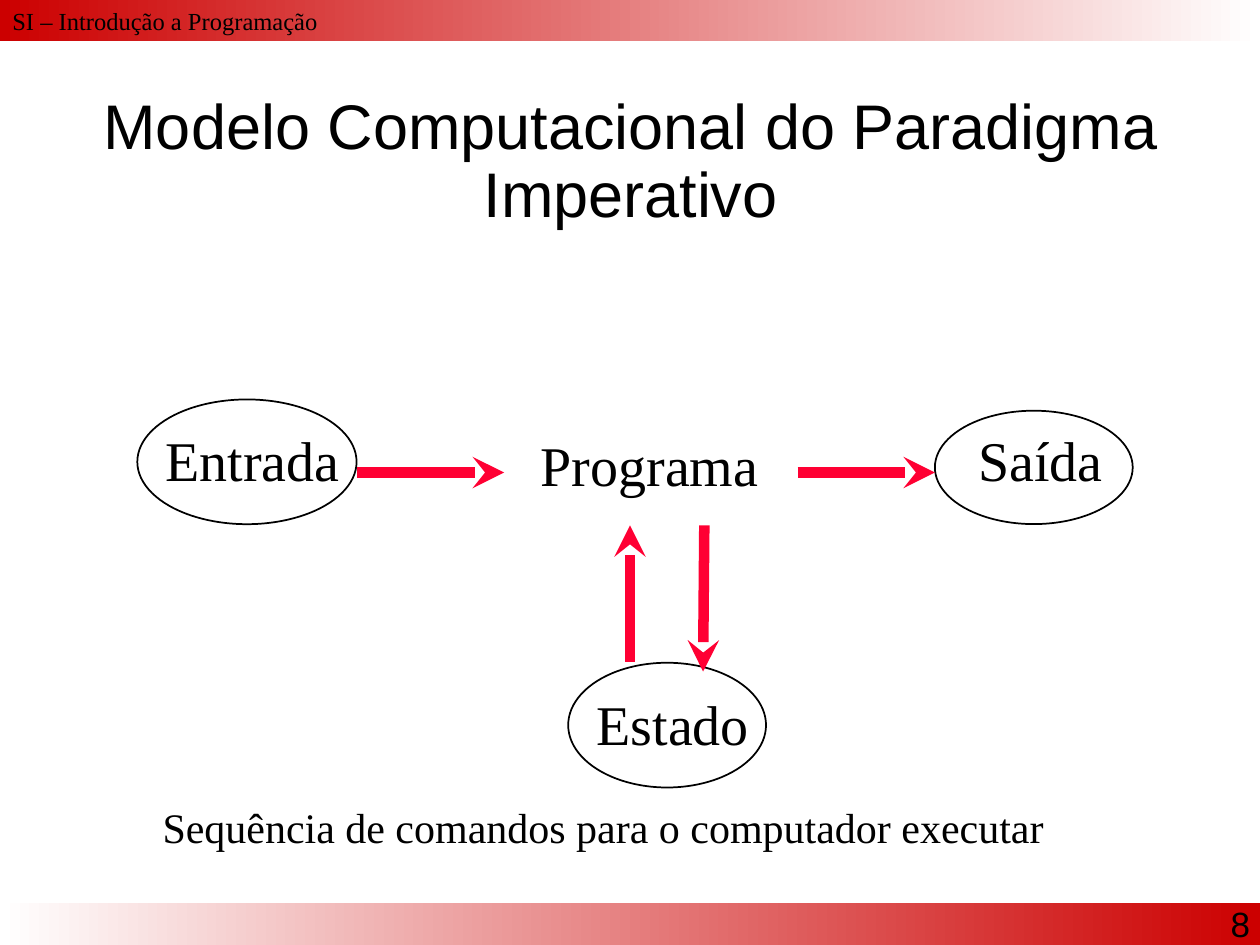
from dataclasses import dataclass

import pptx
import pptx.dml.color
import pptx.enum.dml
import pptx.enum.shapes
import pptx.enum.text
import pptx.oxml
import pptx.oxml.ns
import pptx.util
from pptx.util import Inches

Align = pptx.enum.text.PP_ALIGN
Anchor = pptx.enum.text.MSO_ANCHOR
Shapes = pptx.enum.shapes.MSO_SHAPE


@dataclass(frozen=True)
class Theme:
    """Colours, fonts and type sizes of the slide."""
    ink: str = "000000"
    paper: str = "FFFFFF"
    band: str = "CC0000"
    flow: str = "FF0033"
    sans: str = "Arial"
    serif: str = "Times New Roman"
    course: int = 14
    number: int = 20
    caption: int = 24
    node: int = 32
    title: int = 36


@dataclass(frozen=True)
class Box:
    """A rectangle in inches."""
    left: float
    top: float
    width: float
    height: float

    def lengths(self) -> list:
        """Return the four values as lengths."""
        return [Inches(v) for v in (self.left, self.top, self.width, self.height)]


@dataclass(frozen=True)
class Node:
    """A labelled stage of the model, with an optional ellipse."""
    label: str
    text_box: Box
    ellipse: Box | None = None
    wrap: bool = False


@dataclass(frozen=True)
class Flow:
    """An arrow from one point to another, in inches."""
    start: tuple[float, float]
    end: tuple[float, float]


THEME = Theme()
NODES = [
    Node("Entrada", Box(1.23, 3.38, 1.55, 0.61), Box(1.09, 3.17, 1.74, 0.99)),
    Node("Programa", Box(4.08, 3.42, 2.15, 0.61), wrap=True),
    Node("Saída", Box(7.68, 3.38, 1.16, 0.61), Box(7.42, 3.26, 1.57, 0.9)),
    Node("Estado", Box(4.65, 5.47, 1.38, 0.61), Box(4.51, 5.26, 1.57, 0.99)),
]
FLOWS = [
    Flow((2.83, 3.75), (4, 3.75)),
    Flow((6.33, 3.75), (7.42, 3.75)),
    Flow((5, 5.25), (5, 4.17)),
    Flow((5.59, 4.17), (5.58, 5.33)),
]


def rgb(value: str) -> pptx.dml.color.RGBColor:
    """Turn a hex string into a colour."""
    return pptx.dml.color.RGBColor.from_string(value)


def add_text(slide, text: str, box: Box, *, size: int, font: str = THEME.serif,
             align=Align.LEFT, anchor=Anchor.TOP, wrap: bool = True,
             margins: tuple = (0.1, 0.05, 0.1, 0.05), indent: float = 0,
             spacing: float | None = None) -> None:
    """Add a formatted text box."""
    frame = slide.shapes.add_textbox(*box.lengths()).text_frame
    frame.word_wrap = wrap
    frame.vertical_anchor = anchor
    (frame.margin_left, frame.margin_top,
     frame.margin_right, frame.margin_bottom) = map(Inches, margins)
    paragraph = frame.paragraphs[0]
    paragraph.alignment = align
    if spacing:
        paragraph.line_spacing = spacing
    if indent:
        paragraph._p.get_or_add_pPr().set("marL", str(Inches(indent)))
    run = paragraph.add_run()
    run.text = text
    run.font.size = pptx.util.Pt(size)
    run.font.name = font
    run.font.color.rgb = rgb(THEME.ink)


def add_band(slide, top: float, colors: tuple[str, str]) -> None:
    """Add a full-width band that fades from left to right."""
    band = slide.shapes.add_shape(Shapes.RECTANGLE, *Box(0, top, 10, 0.33).lengths())
    band.shadow.inherit = False
    band.line.fill.background()
    band.fill.gradient()
    band.fill.gradient_angle = 0
    for stop, color in zip(band.fill.gradient_stops, colors):
        stop.color.rgb = rgb(color)


def add_node(slide, node: Node) -> None:
    """Add a stage label and its outline."""
    add_text(slide, node.label, node.text_box, size=THEME.node, align=Align.CENTER,
             wrap=node.wrap, margins=(0, 0, 0.05, 0), indent=0.05)
    if node.ellipse:
        outline = slide.shapes.add_shape(Shapes.OVAL, *node.ellipse.lengths())
        outline.shadow.inherit = False
        outline.fill.background()
        outline.line.color.rgb = rgb(THEME.ink)
        outline.line.width = pptx.util.Pt(1)


def add_flow(slide, flow: Flow) -> None:
    """Add a thick arrow ending in a stealth head."""
    arrow = slide.shapes.add_connector(
        pptx.enum.shapes.MSO_CONNECTOR.STRAIGHT,
        *[Inches(v) for v in flow.start + flow.end])
    arrow.line.color.rgb = rgb(THEME.flow)
    arrow.line.width = pptx.util.Pt(6)
    qn = pptx.oxml.ns.qn
    head = arrow.line._get_or_add_ln().makeelement(qn("a:tailEnd"), {"type": "stealth"})
    arrow.line._get_or_add_ln().append(head)
    properties = arrow._element.spPr
    properties.append(properties.makeelement(qn("a:effectLst"), {}))


def main() -> None:
    """Build and save the slide."""
    deck = pptx.Presentation()
    deck.slide_width, deck.slide_height = Inches(10), Inches(7.5)
    slide = deck.slides.add_slide(deck.slide_layouts[6])

    add_band(slide, 7.17, (THEME.paper, THEME.band))
    add_band(slide, 0, (THEME.band, THEME.paper))
    add_text(slide, "SI – Introdução a Programação", Box(0, 0, 10, 0.5), size=THEME.course)
    add_text(slide, "8", Box(8.67, 7.11, 1.35, 0.5), size=THEME.number,
             font=THEME.sans, align=Align.RIGHT)
    add_text(slide, "Modelo Computacional do Paradigma Imperativo",
             Box(0.75, 0.69, 8.51, 1.21), size=THEME.title, font=THEME.sans,
             align=Align.CENTER, anchor=Anchor.MIDDLE, margins=(0, 0, 0.05, 0),
             indent=0.05, spacing=0.9)
    for node in NODES:
        add_node(slide, node)
    for flow in FLOWS:
        add_flow(slide, flow)
    add_text(slide, "Sequência de comandos para o computador executar",
             Box(1.25, 6.33, 7.16, 0.47), size=THEME.caption, anchor=Anchor.MIDDLE,
             wrap=False, margins=(0, 0, 0.04, 0), indent=0.04)
    deck.save("out.pptx")


main()
